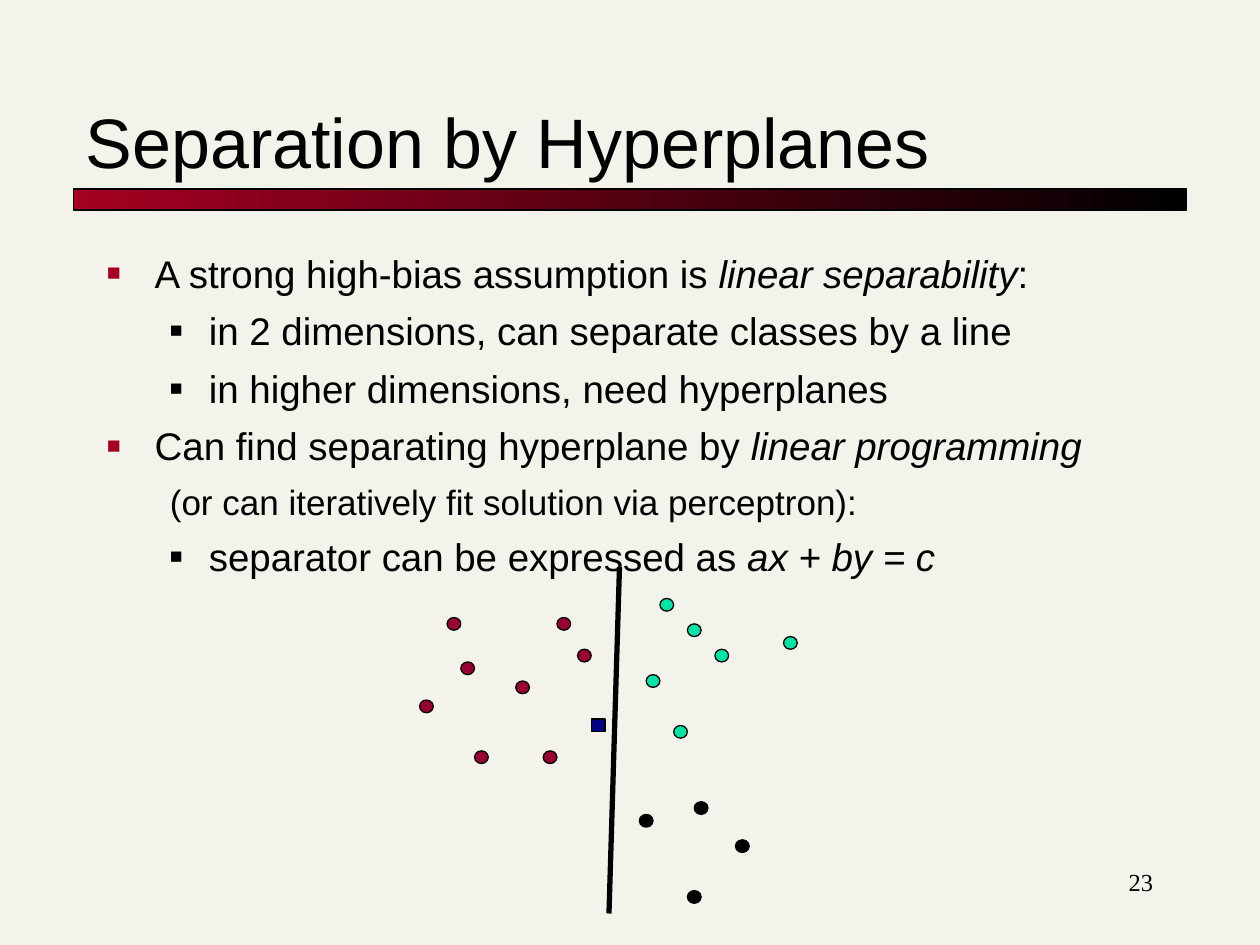
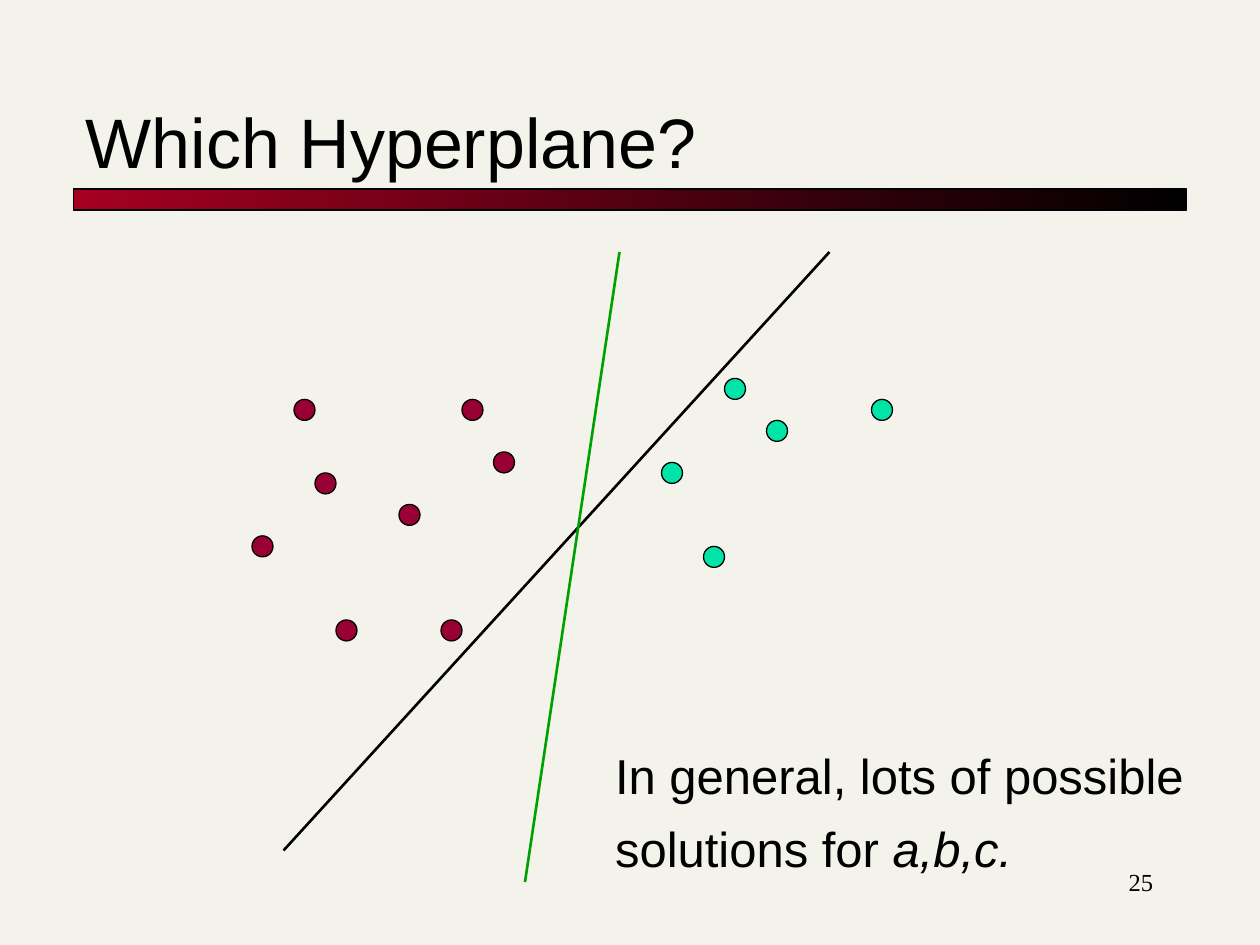
from pptx import Presentation
from pptx.util import Inches, Pt
from pptx.dml.color import RGBColor
from pptx.enum.shapes import MSO_SHAPE, MSO_CONNECTOR
from pptx.enum.text import PP_ALIGN, MSO_ANCHOR
from pptx.oxml.ns import qn
from lxml.etree import SubElement

INK, WINE, RED, MINT, NAVY, LEAF = "000000", "A50021", "990033", "00E4A8", "000080", "00A000"
CELL = Inches(10) / 120


def paint(fill, tone):
    fill.solid()
    fill.fore_color.rgb = RGBColor.from_string(tone)


def write(slide, lines, box, size=22, face="Arial", align=PP_ALIGN.LEFT,
          anchor=MSO_ANCHOR.TOP, gap=0, wrap=True):
    frame = slide.shapes.add_textbox(*[round(n * CELL) for n in box]).text_frame
    frame.word_wrap = wrap
    frame.vertical_anchor = anchor
    for row, (kind, text) in enumerate(lines):
        para = frame.paragraphs[0] if row == 0 else frame.add_paragraph()
        para.alignment = align
        if row:
            para.space_before = Pt(gap)
        if kind != "plain":
            left, hang, tone, share = (0.38, 0.38, WINE, 60) if kind == "main" else (0.81, 0.31, INK, 55)
            props = para._p.get_or_add_pPr()
            props.set("marL", str(Inches(left)))
            props.set("indent", str(-Inches(hang)))
            if kind == "note":
                SubElement(props, qn("a:buNone"))
            else:
                SubElement(SubElement(props, qn("a:buClr")), qn("a:srgbClr"), val=tone)
                SubElement(props, qn("a:buSzPct"), val=str(share * 1000))
                SubElement(props, qn("a:buFont"), typeface="Arial")
                SubElement(props, qn("a:buChar"), char="■")
        for part, words in enumerate(text.split("*")):
            if words:
                run = para.add_run()
                run.text = words
                run.font.name = face
                run.font.size = Pt(20 if kind == "note" else size)
                run.font.italic = part % 2 == 1
                paint(run.font.fill, INK)


REDS = [(2, 1.5), (3, 5), (4, 12), (10, 1.5), (0, 8), (7, 6.5), (11.5, 4), (9, 12)]

PAGES = [
    dict(
        title="Separation by Hyperplanes", page="23",
        text=[
            ("main", "A strong high-bias assumption is *linear separability*:"),
            ("sub", "in 2 dimensions, can separate classes by a line"),
            ("sub", "in higher dimensions, need hyperplanes"),
            ("main", "Can find separating hyperplane by *linear programming*"),
            ("note", "(or can iteratively fit solution via perceptron):"),
            ("sub", "separator can be expressed as *ax + by = c*"),
        ],
        form=dict(box=(9, 23.2, 102, 64), gap=6.5),
        start=(3.33, 4.75), step=(0.109, 0.1008),
        dots={
            RED: REDS,
            MINT: [(16.5, 6), (17.5, 0), (18.5, 10), (19.5, 2), (26.5, 3), (21.5, 4)],
            INK: [(20, 16), (16, 17), (19.5, 23), (23, 19)],
            NAVY: [(12.5, 9.5)],
        },
        cuts=[((59, 54, 58, 87), INK, 3)],
    ),
    dict(
        title="Which Hyperplane?", page="25",
        text=[("plain", "In general, lots of possible"), ("plain", "solutions for *a,b,c.*")],
        form=dict(box=(57.4, 70.4, 56.5, 13.5), size=28, gap=8.2, wrap=False),
        start=(2, 2.92), step=(1 / 6, 1 / 6),
        dots={
            RED: REDS,
            MINT: [(19.5, 4.5), (21.5, 8.5), (22.5, 0.5), (29.5, 1.5), (24.5, 2.5)],
        },
        cuts=[((27, 81, 79, 24), INK, 1.5), ((50, 84, 59, 24), LEAF, 1.5)],
    ),
]

deck = Presentation()
deck.slide_width, deck.slide_height = Inches(10), Inches(7.5)
paint(deck.slide_master.background.fill, "F4F3EB")

for plan in PAGES:
    slide = deck.slides.add_slide(deck.slide_layouts[6])

    bar = slide.shapes.add_shape(MSO_SHAPE.RECTANGLE, *[round(n * CELL) for n in (7, 18, 106, 2)])
    bar.shadow.inherit = False
    bar.fill.gradient()
    bar.fill.gradient_angle = 0
    for stop, tone in zip(bar.fill.gradient_stops, (WINE, INK)):
        stop.color.rgb = RGBColor.from_string(tone)
    paint(bar.line.fill, INK)
    bar.line.width = Pt(0.75)

    write(slide, [("plain", plan["page"])], (86, 82, 25, 6), size=14,
          face="Times New Roman", align=PP_ALIGN.RIGHT)
    write(slide, [("plain", plan["title"])], (7, 5, 106, 13), size=40, anchor=MSO_ANCHOR.BOTTOM)
    write(slide, plan["text"], **plan["form"])

    left, top = plan["start"]
    wide, high = plan["step"]
    for tone, spots in plan["dots"].items():
        form = MSO_SHAPE.RECTANGLE if tone == NAVY else MSO_SHAPE.OVAL
        for col, row in spots:
            dot = slide.shapes.add_shape(form, Inches(left + col * wide), Inches(top + row * high),
                                         Inches(wide), Inches(high))
            dot.shadow.inherit = False
            paint(dot.fill, tone)
            paint(dot.line.fill, INK)
            dot.line.width = Pt(0.75)

    for ends, tone, width in plan["cuts"]:
        cut = slide.shapes.add_connector(MSO_CONNECTOR.STRAIGHT, *[round(n * CELL) for n in ends])
        paint(cut.line.fill, tone)
        cut.line.width = Pt(width)
        SubElement(cut._element.spPr, qn("a:effectLst"))

deck.save("out.pptx")
